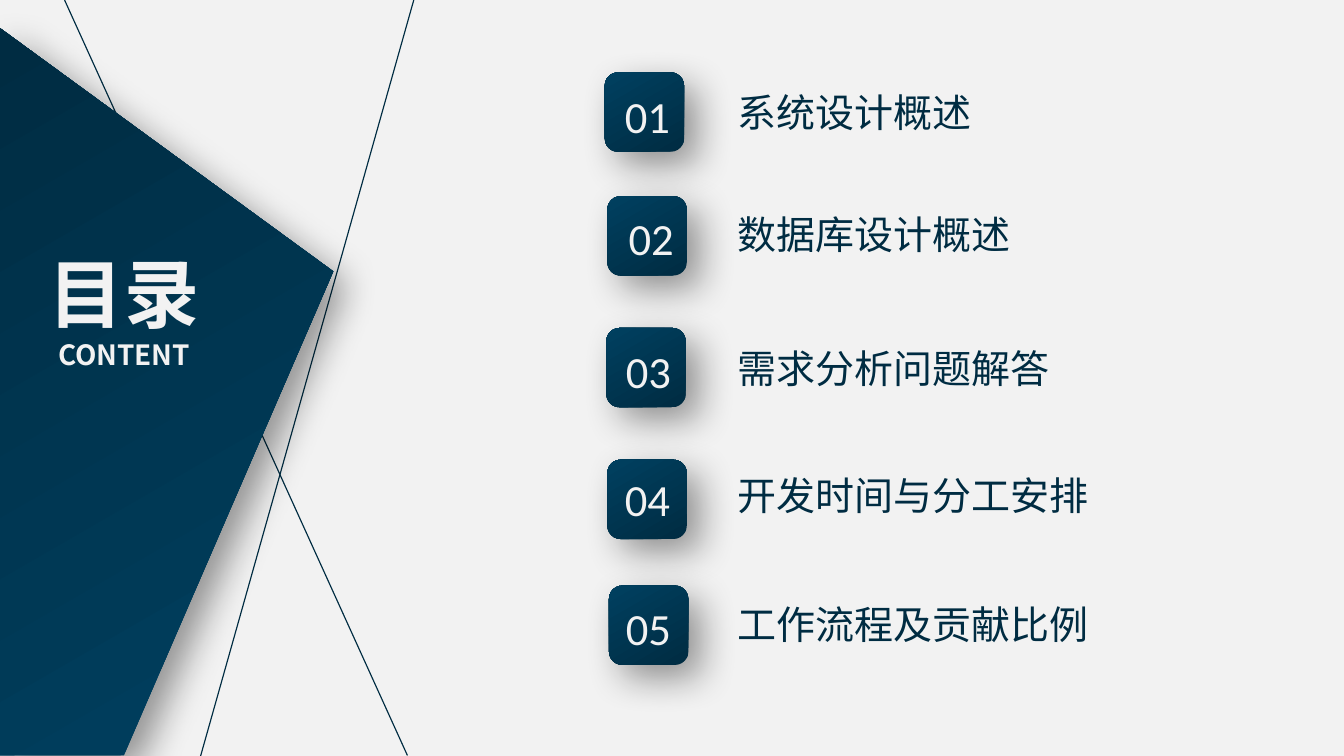
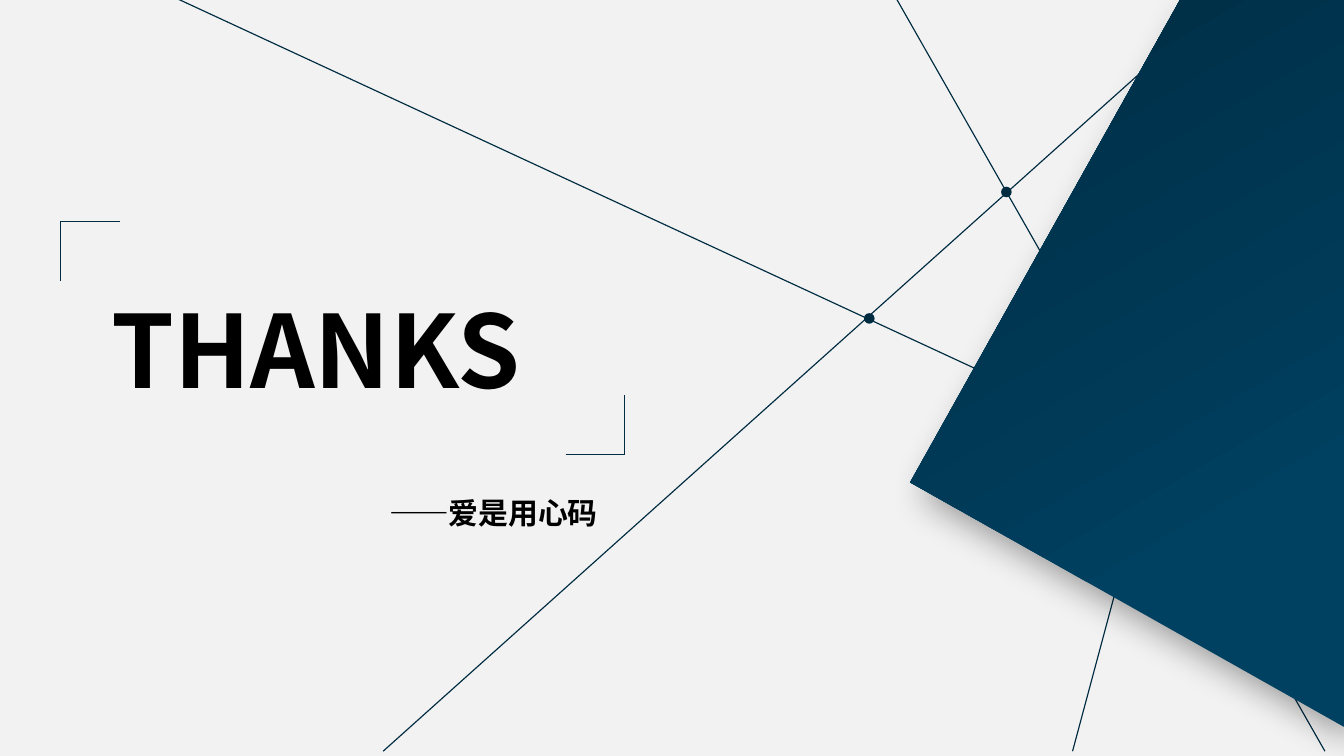
import lxml.etree
import pptx
import pptx.dml.color
import pptx.enum.shapes
import pptx.enum.text
import pptx.oxml
import pptx.oxml.ns
import pptx.util

Cm, Pt = pptx.util.Cm, pptx.util.Pt
RGB = pptx.dml.color.RGBColor.from_string
SHAPE = pptx.enum.shapes.MSO_SHAPE
qn = pptx.oxml.ns.qn

# Theme: colours, fonts and type sizes
CJK = "Noto Sans CJK SC"
THEME = {
    "paper": RGB("F2F2F2"),
    "navy": RGB("002C42"),
    "blue": RGB("004060"),
    "black": RGB("000000"),
    "gradient_angle": 120,
    "thin": Pt(0.5),
    "line": Pt(0.63),
    "type": {
        "title": ("paper", {"name": CJK, "size": Pt(40.2), "bold": True}),
        "subtitle": ("paper", {"name": CJK, "size": Pt(14.9), "bold": True}),
        "number": ("paper", {"name": "Calibri", "size": Pt(23.9)}),
        "topic": ("navy", {"name": CJK, "size": Pt(20.9)}),
        "thanks": ("black", {"name": CJK, "size": Pt(54), "bold": True}),
        "motto": ("black", {"name": CJK, "size": Pt(16), "bold": True}),
    },
}
SHADOW = (
    '<a:outerShdw xmlns:a="http://schemas.openxmlformats.org/drawingml/2006/main"'
    ' blurRad="254000" dist="127000" dir="2700000" algn="tl" rotWithShape="0">'
    '<a:srgbClr val="000000"><a:alpha val="40000"/></a:srgbClr></a:outerShdw>'
)


def add_text(s, box, parts, align=None, wrap=True):
    """Add a text box with one paragraph for each (style, text) pair."""
    sp = s.shapes.add_textbox(*[Cm(v) for v in box])
    tf = sp.text_frame
    tf.word_wrap = wrap
    tf.auto_size = pptx.enum.text.MSO_AUTO_SIZE.SHAPE_TO_FIT_TEXT
    for i, (style, text) in enumerate(parts):
        p = tf.add_paragraph() if i else tf.paragraphs[0]
        p.alignment = align
        r = p.add_run()
        r.text = text
        color, fmt = THEME["type"][style]
        for name, value in fmt.items():
            setattr(r.font, name, value)
        r.font.color.rgb = THEME[color]
        ea = lxml.etree.SubElement(r.font._element, qn("a:ea"))
        ea.set("typeface", fmt["name"])
    return sp


def style_raised(sp, stops):
    """Give a shape the gradient fill and the soft shadow."""
    sp.line.fill.background()
    sp.fill.gradient()
    sp.fill.gradient_angle = THEME["gradient_angle"]
    for stop, (position, color) in zip(sp.fill.gradient_stops, stops):
        stop.position = position
        stop.color.rgb = THEME[color]
    sp.shadow.inherit = False
    effects = sp._element.spPr.find(qn("a:effectLst"))
    effects.append(pptx.oxml.parse_xml(SHADOW))


prs = pptx.Presentation()
prs.slide_width, prs.slide_height = Cm(25.4), Cm(14.29)

# Backdrop of each slide: lines (x1, y1, x2, y2), dots and the large panel
contents_backdrop = {
    "line": [(7.82, 0, 3.76, 14.4), (7.7, 14.28, 1.22, 0)],
    "thin": [],
    "dots": [],
    "panel": [(2.34, 14.28), (-0.03, 14.28), (-0.03, 0.51), (6.3, 5.13)],
    "stops": [(0, "blue"), (1, "navy")],
}
thanks_backdrop = {
    "line": [
        (7.24, 14.2, 23.09, 0),
        (16.74, -0.38, 25.04, 14.2),
        (3.23, -0.08, 25.32, 10.16),
        (20.27, 14.2, 24.18, -0.38),
    ],
    # Corner brackets around the closing word
    "thin": [
        (1.14, 4.19, 2.26, 4.19),
        (1.14, 4.19, 1.14, 5.31),
        (10.69, 8.59, 11.81, 8.59),
        (11.81, 7.47, 11.81, 8.59),
    ],
    "dots": [(18.92, 3.53), (16.33, 5.92)],
    "panel": [(22.33, -0.05), (25.4, -0.05), (25.4, 13.74), (17.2, 9.12)],
    "stops": [(0.25, "blue"), (1, "navy")],
}

slides = []
for backdrop in (contents_backdrop, thanks_backdrop):
    s = prs.slides.add_slide(prs.slide_layouts[6])
    slides.append(s)
    s.background.fill.solid()
    s.background.fill.fore_color.rgb = THEME["paper"]

    for weight in ("thin", "line"):
        for ends in backdrop[weight]:
            cxn = s.shapes.add_connector(
                pptx.enum.shapes.MSO_CONNECTOR.STRAIGHT, *[Cm(v) for v in ends])
            cxn.line.color.rgb = THEME["navy"]
            cxn.line.width = THEME[weight]
            lxml.etree.SubElement(cxn._element.spPr, qn("a:effectLst"))

    for x, y in backdrop["dots"]:
        dot = s.shapes.add_shape(SHAPE.OVAL, Cm(x), Cm(y), Cm(0.2), Cm(0.2))
        dot.shadow.inherit = False
        dot.fill.solid()
        dot.fill.fore_color.rgb = THEME["navy"]
        dot.line.fill.background()

    corners = [(Cm(x), Cm(y)) for x, y in backdrop["panel"]]
    outline = s.shapes.build_freeform(*corners[0])
    outline.add_line_segments(corners[1:], close=True)
    style_raised(outline.convert_to_shape(), backdrop["stops"])

contents, thanks = slides

# Contents: heading on the panel
add_text(contents, (0.53, 4.55, 3.63, 2.62),
         [("title", "目录"), ("subtitle", "CONTENT")],
         align=pptx.enum.text.PP_ALIGN.CENTER)

# Contents: badge (x, y), number (x, y), topic width and topic
topics = [
    (11.43, 1.37, 11.56, 1.55, 5.99, "系统设计概述"),
    (11.48, 3.71, 11.63, 3.86, 5.99, "数据库设计概述"),
    (11.46, 6.2, 11.58, 6.38, 7.16, "需求分析问题解答"),
    (11.48, 8.69, 11.56, 8.79, 7.8, "开发时间与分工安排"),
    (11.51, 11.07, 11.58, 11.23, 7.77, "工作流程及贡献比例"),
]
for i, (x, y, number_x, text_y, width, topic) in enumerate(topics, 1):
    badge = contents.shapes.add_shape(
        SHAPE.ROUNDED_RECTANGLE, Cm(x), Cm(y), Cm(1.5), Cm(1.5))
    style_raised(badge, [(0, "navy"), (1, "blue")])
    add_text(contents, (number_x, text_y, 1.37, 1.27),
             [("number", f"{i:02d}")], wrap=False)
    add_text(contents, (13.69, text_y, width, 1.14), [("topic", topic)])

# Thanks: closing word and motto
add_text(thanks, (1.85, 5.31, 10.01, 2.57), [("thanks", "THANKS")])
motto = add_text(thanks, (6.73, 9.22, 5.18, 0.94), [("motto", "——爱是用心码")])
motto.text_frame.margin_left = Cm(0.63)

prs.save("out.pptx")
